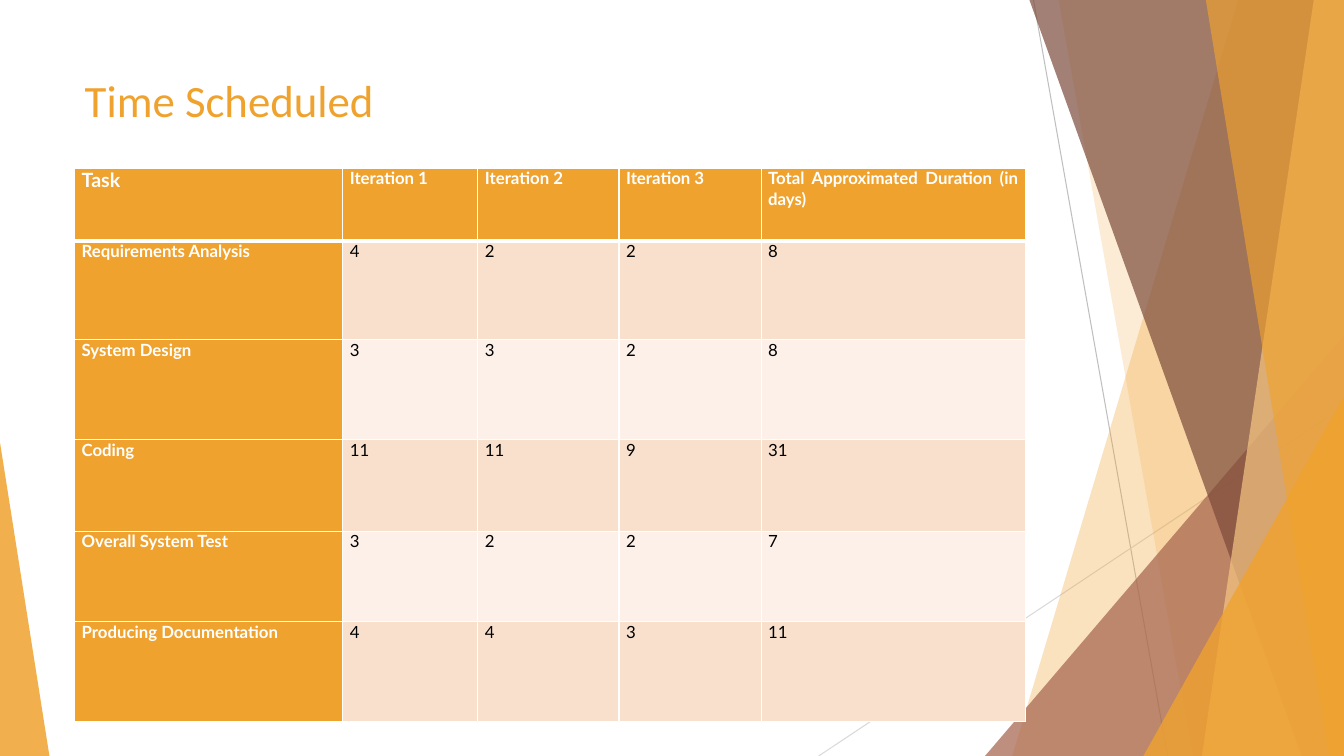
"""Build the Time Scheduled slide: faceted side panels, a title and a task table."""
from lxml.etree import SubElement
from pptx import Presentation
from pptx.dml.color import RGBColor
from pptx.enum.shapes import MSO_CONNECTOR as MC, MSO_SHAPE as MS
from pptx.enum.text import MSO_ANCHOR as MA, PP_ALIGN as PA
from pptx.oxml.ns import qn
from pptx.util import Inches, Pt

ORANGE, WHITE = "F0A22E", "FFFFFF"
W, H = 13.33, 7.5


def rgb(value):
    return RGBColor.from_string(value)


def paint(sp, color, alpha):
    sp.shadow.inherit = False
    sp.line.fill.background()
    sp.fill.solid()
    sp.fill.fore_color.rgb = rgb(color)
    clr = next(sp.element.spPr.iter(qn("a:srgbClr")))
    SubElement(clr, qn("a:alpha"), val=str(alpha * 1000))


prs = Presentation()
prs.slide_width, prs.slide_height = Inches(W), Inches(H)
s = prs.slides.add_slide(prs.slide_layouts[5])

for x1, y1, x2, y2, color in [(10.25, 0, 11.58, H, "BFBFBF"),
                              (W, 4.03, 8.12, H, "D9D9D9")]:
    line = s.shapes.add_connector(MC.STRAIGHT, Inches(x1), Inches(y1), Inches(x2), Inches(y2))
    line.line.width = Pt(0.75)
    line.line.color.rgb = rgb(color)
    SubElement(line.element.spPr, qn("a:effectLst"))

panels = [
    ("band", 12.28, 10.04, ORANGE, 30),
    ("band", 10.5, 11.83, ORANGE, 20),
    ("triangle", 9.77, 3.33, 3.56, 1, "A5644E", 72),
    ("band", 10.21, 12.91, "7C4B3B", 70),
    ("band", 13.03, 11.92, "F6C782", 70),
    ("band", 11.96, 13.18, ORANGE, 65),
    ("triangle", 11.34, 3.93, 1.99, 1, ORANGE, 80),
    ("triangle", 0, 4.39, 0.49, 0, ORANGE, 85),
]
for kind, *place, color, alpha in panels:
    if kind == "band":
        top, bottom = place
        fb = s.shapes.build_freeform(Inches(top), 0)
        fb.add_line_segments([(Inches(x), Inches(y)) for x, y in
                              [(W, 0), (W, H), (bottom, H)]], close=True)
        sp = fb.convert_to_shape()
    else:
        x, y, width, apex = place
        sp = s.shapes.add_shape(MS.ISOSCELES_TRIANGLE, Inches(x), Inches(y),
                                Inches(width), Inches(H - y))
        sp.adjustments[0] = apex
    paint(sp, color, alpha)

title = s.shapes.title
s.shapes.element.append(title.element)
title.left, title.top, title.width, title.height = map(Inches, (0.74, 0.67, 9.4, 0.87))
tf = title.text_frame
tf.text = "Time Scheduled"
tf.vertical_anchor = MA.TOP
p = tf.paragraphs[0]
p.alignment = PA.LEFT
for name, value in {"size": Pt(32), "name": "Calibri", "bold": False}.items():
    setattr(p.font, name, value)
p.font.color.rgb = rgb(ORANGE)

rows = [
    ("Task", "Iteration 1", "Iteration 2", "Iteration 3", "Total Approximated Duration (in days)"),
    ("Requirements Analysis", 4, 2, 2, 8),
    ("System Design", 3, 3, 2, 8),
    ("Coding", 11, 11, 9, 31),
    ("Overall System Test", 3, 2, 2, 7),
    ("Producing Documentation", 4, 4, 3, 11),
]
widths = [2.66, 1.34, 1.4, 1.41, 2.62]
heights = [0.72, 0.98, 0.99, 0.91, 0.9, 0.99]
table = s.shapes.add_table(len(rows), len(widths), Inches(0.74), Inches(1.67),
                           Inches(sum(widths)), Inches(sum(heights))).table
for col, width in zip(table.columns, widths):
    col.width = Inches(width)
for row, height in zip(table.rows, heights):
    row.height = Inches(height)

cell_format = {"margin_left": Inches(0.07), "margin_right": Inches(0.07),
               "margin_top": 0, "margin_bottom": 0, "vertical_anchor": MA.TOP}
for i, row in enumerate(rows):
    for j, value in enumerate(row):
        cell = table.cell(i, j)
        heading = i == 0 or j == 0
        for name, setting in cell_format.items():
            setattr(cell, name, setting)
        for side in "LRTB":
            thick = (i, side) in [(0, "B"), (1, "T")]
            ln = SubElement(cell._tc.get_or_add_tcPr(), qn(f"a:ln{side}"),
                            w=str(Pt(3 if thick else 1)))
            SubElement(SubElement(ln, qn("a:solidFill")), qn("a:srgbClr"), val=WHITE)
        cell.fill.solid()
        cell.fill.fore_color.rgb = rgb(ORANGE if heading else "F9E0CD" if i % 2 else "FCF0E8")
        cell.text = str(value)
        p = cell.text_frame.paragraphs[0]
        p.alignment = PA.JUSTIFY
        p.space_before = Pt(12)
        font = p.runs[0].font
        text_format = {"name": "Lato", "size": Pt(14 if i == j == 0 else 12), "bold": heading}
        for name, setting in text_format.items():
            setattr(font, name, setting)
        font.color.rgb = rgb(WHITE if heading else "000000")

prs.save("out.pptx")
